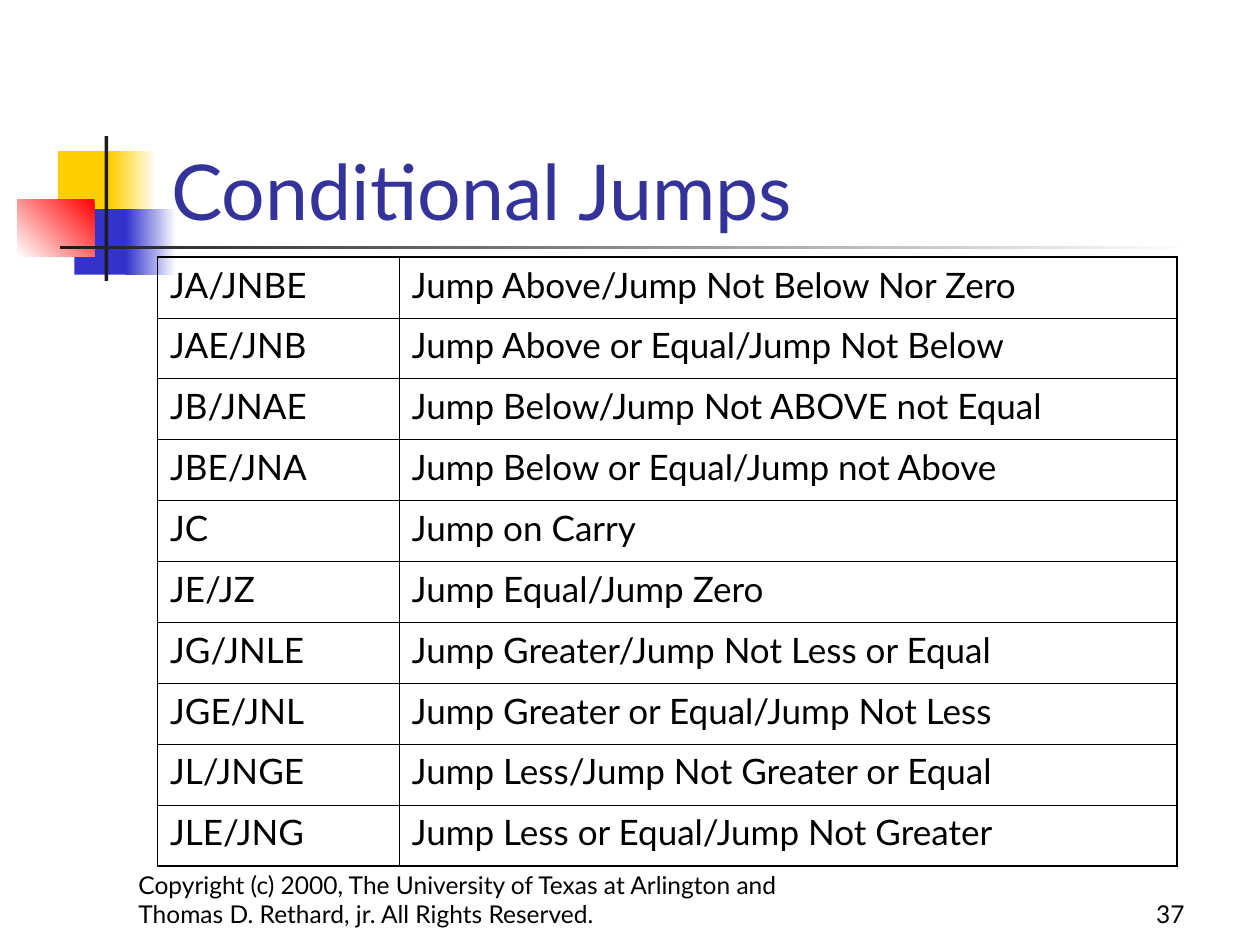
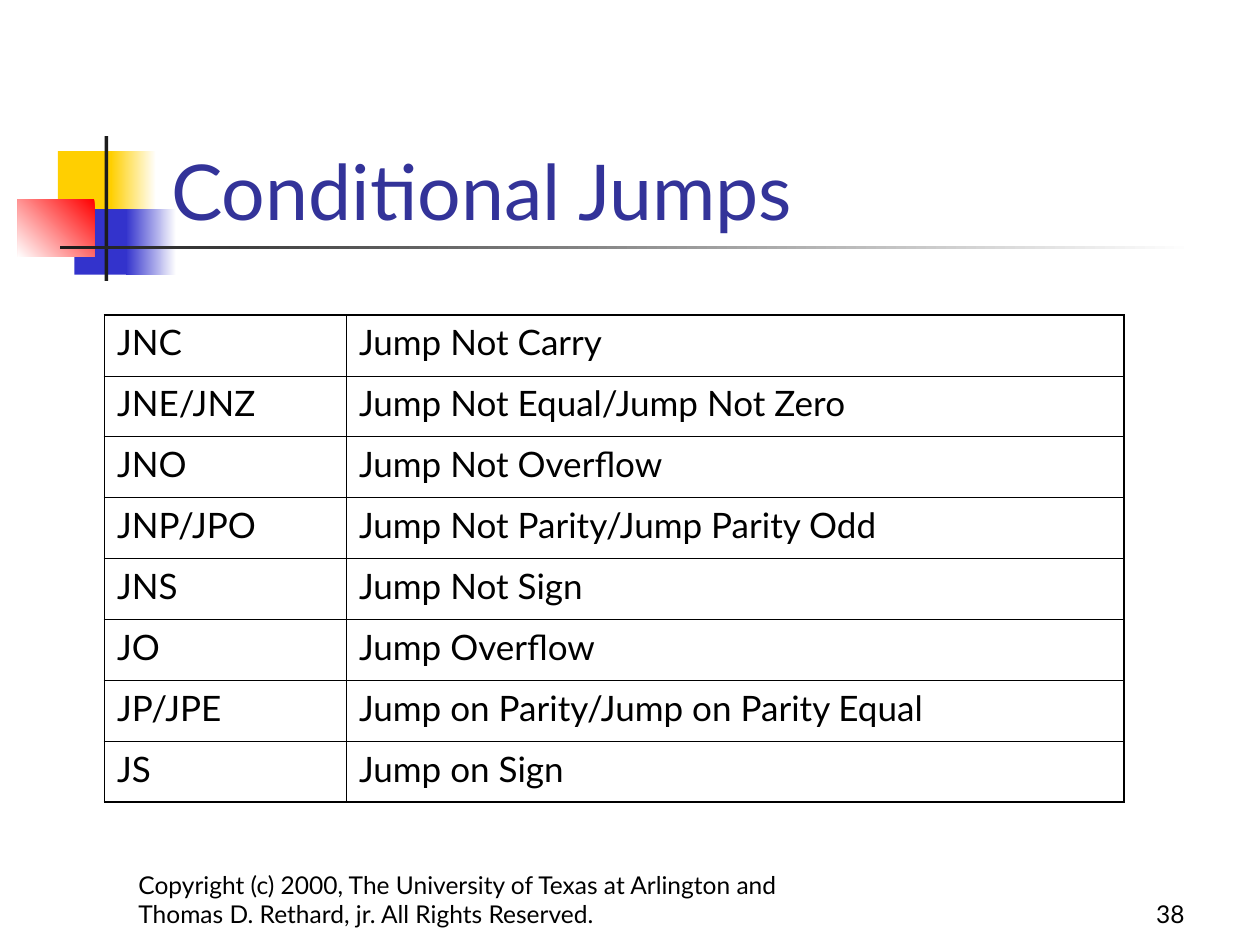
from collections import namedtuple

from lxml.etree import SubElement
from pptx import Presentation
from pptx.dml.color import RGBColor
from pptx.enum.shapes import MSO_SHAPE
from pptx.enum.text import MSO_ANCHOR, PP_ALIGN
from pptx.oxml.ns import qn
from pptx.util import Inches, Pt

TITLE = "Conditional Jumps"
NOTICE = ("Copyright (c) 2000, The University of Texas at Arlington and "
          "Thomas D. Rethard, jr. All Rights Reserved.")
FIRST = 37

# Each page: left and top of its table, then the rows.
PAGES = [
    (1.25, 2.04, [
        ("JA/JNBE", "Jump Above/Jump Not Below Nor Zero"),
        ("JAE/JNB", "Jump Above or Equal/Jump Not Below"),
        ("JB/JNAE", "Jump Below/Jump Not ABOVE not Equal"),
        ("JBE/JNA", "Jump Below or Equal/Jump not Above"),
        ("JC", "Jump on Carry"),
        ("JE/JZ", "Jump Equal/Jump Zero"),
        ("JG/JNLE", "Jump Greater/Jump Not Less or Equal"),
        ("JGE/JNL", "Jump Greater or Equal/Jump Not Less"),
        ("JL/JNGE", "Jump Less/Jump Not Greater or Equal"),
        ("JLE/JNG", "Jump Less or Equal/Jump Not Greater"),
    ]),
    (0.83, 2.5, [
        ("JNC", "Jump Not Carry"),
        ("JNE/JNZ", "Jump Not Equal/Jump Not Zero"),
        ("JNO", "Jump Not Overflow"),
        ("JNP/JPO", "Jump Not Parity/Jump Parity Odd"),
        ("JNS", "Jump Not Sign"),
        ("JO", "Jump Overflow"),
        ("JP/JPE", "Jump on Parity/Jump on Parity Equal"),
        ("JS", "Jump on Sign"),
    ]),
]

Theme = namedtuple("Theme", "font title ink gold blue red dark white big mid small thick thin")
LOOK = Theme("Lato", "333399", "000000", "FFCF01", "3333CC", "FF0000", "1C1C1C",
             "FFFFFF", 44, 20, 14, 1.08, 0.45)

COLS = (1.92, 6.17)
ROW = Pt(34.8)
TITLE_BOX = (1.26, 0.67, 8.52, 1.25)
NOTICE_BOX = (1, 6.92, 5.42, 0.5)
NUMBER_BOX = (7.42, 6.92, 2.08, 0.5)

# Box, colours (one is solid, two make a gradient), gradient angle.
MOTIF = [
    ((0.46, 1.2, 0.48, 0.52), (LOOK.gold,), 0),
    ((0.88, 1.2, 0.36, 0.52), (LOOK.white, LOOK.gold), 180),
    ((0.59, 1.66, 0.46, 0.52), (LOOK.blue,), 0),
    ((1, 1.66, 0.4, 0.52), (LOOK.white, LOOK.blue), 180),
    ((0.14, 1.58, 0.61, 0.46), (LOOK.red, LOOK.white), 225),
    ((0.83, 1.08, 0.03, 1.15), (LOOK.dark,), 0),
    ((0.48, 1.95, 9, 0.03), (LOOK.white, LOOK.dark), 180),
]


def rgb(code):
    return RGBColor.from_string(code)


def inches(box):
    return [Inches(n) for n in box]


def write(frame, text, size, color, align=PP_ALIGN.LEFT):
    frame.text = text
    para = frame.paragraphs[0]
    para.alignment = align
    font = para.runs[0].font
    font.name, font.size = LOOK.font, Pt(size)
    font.color.rgb = rgb(color)


def add_motif(slide):
    """Draw the corner motif and move it to the layout, behind all slides."""
    layout = slide.slide_layout
    for spot in list(layout.placeholders):
        if spot.placeholder_format.idx:
            spot.element.getparent().remove(spot.element)
    for box, colors, angle in MOTIF:
        shape = slide.shapes.add_shape(MSO_SHAPE.RECTANGLE, *inches(box))
        shape.shadow.inherit = False
        shape.line.fill.background()
        if len(colors) == 1:
            shape.fill.solid()
            shape.fill.fore_color.rgb = rgb(colors[0])
        else:
            shape.fill.gradient()
            shape.fill.gradient_angle = angle
            for stop, color in zip(shape.fill.gradient_stops, colors):
                stop.color.rgb = rgb(color)
        layout.shapes._spTree.append(shape.element)


def add_title(slide):
    title = slide.shapes.title
    title.left, title.top, title.width, title.height = inches(TITLE_BOX)
    write(title.text_frame, TITLE, LOOK.big, LOOK.title)
    title.text_frame.vertical_anchor = MSO_ANCHOR.BOTTOM


def add_note(slide, box, text, align=PP_ALIGN.LEFT):
    frame = slide.shapes.add_textbox(*inches(box)).text_frame
    frame.word_wrap = True
    frame.vertical_anchor = MSO_ANCHOR.BOTTOM
    write(frame, text, LOOK.small, LOOK.ink, align)


def add_edges(cell, outer):
    """Line the four sides of a cell, thick where outer says so."""
    props = cell._tc.get_or_add_tcPr()
    for i, (side, thick) in enumerate(zip("LRTB", outer)):
        width = Pt(LOOK.thick if thick else LOOK.thin)
        line = SubElement(props, qn(f"a:ln{side}"), w=str(width))
        fill = SubElement(line, qn("a:solidFill"))
        SubElement(fill, qn("a:srgbClr"), val=LOOK.ink)
        props.insert(i, line)


def add_grid(slide, left, top, rows):
    last, end = len(rows) - 1, len(COLS) - 1
    table = slide.shapes.add_table(
        len(rows), len(COLS), Inches(left), Inches(top),
        Inches(sum(COLS)), ROW * len(rows)).table
    table.first_row = table.horz_banding = False
    for col, width in zip(table.columns, COLS):
        col.width = Inches(width)
    for r, row in enumerate(rows):
        table.rows[r].height = ROW
        for c, text in enumerate(row):
            cell = table.cell(r, c)
            cell.fill.background()
            write(cell.text_frame, text, LOOK.mid, LOOK.ink)
            add_edges(cell, (c == 0, c == end, r == 0, r == last))


def main():
    deck = Presentation()
    deck.slide_width, deck.slide_height = Inches(10), Inches(7.5)
    layout = deck.slide_layouts.get_by_name("Title Only")
    for number, (left, top, rows) in enumerate(PAGES, FIRST):
        slide = deck.slides.add_slide(layout)
        if number == FIRST:
            add_motif(slide)
        add_title(slide)
        add_grid(slide, left, top, rows)
        add_note(slide, NUMBER_BOX, str(number), PP_ALIGN.RIGHT)
        add_note(slide, NOTICE_BOX, NOTICE)
    deck.save("out.pptx")


if __name__ == "__main__":
    main()
